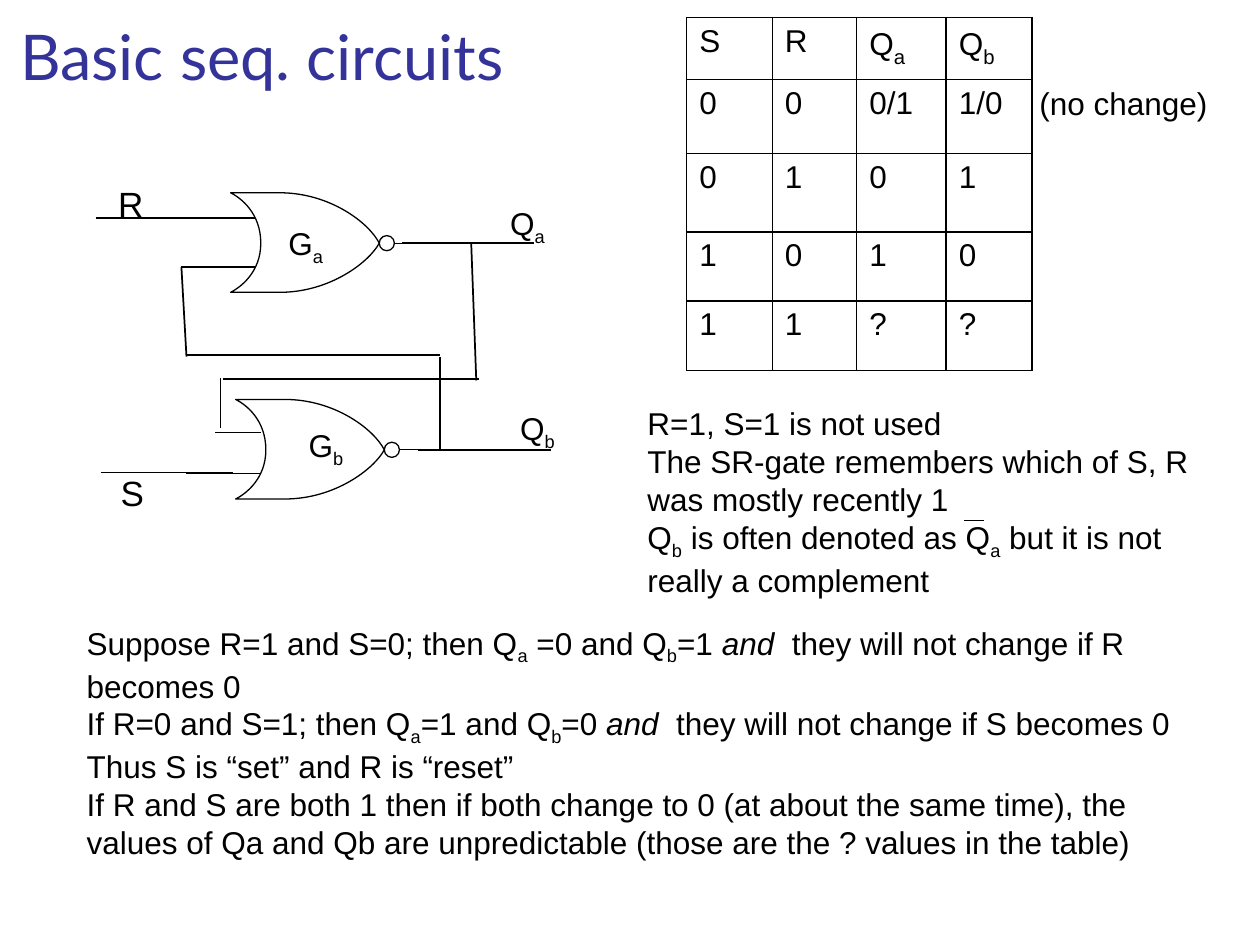
from dataclasses import dataclass

from lxml import etree
from pptx import Presentation
from pptx import util as u
from pptx.dml.color import RGBColor
from pptx.enum import shapes, text
from pptx.oxml.ns import qn


@dataclass(frozen=True)
class Theme:
    ink: str = "000000"
    paper: str = "FFFFFF"
    heading: str = "333399"
    title_font: str = "Lato"
    body_font: str = "Arial"
    title_size: int = 36
    input_size: int = 20
    body_size: int = 18
    wire: float = 1
    outline: float = 0.75


THEME = Theme()
WIDTH, HEIGHT = 10, 7.5
GATE_B_SHIFT = (0.04, 1.64)

TRUTH_TABLE = [
    ["S", "R", "Q|_a", "Q|_b"],
    ["0", "0", "0/1", "1/0"],
    ["0", "1", "0", "1"],
    ["1", "0", "1", "0"],
    ["1", "1", "?", "?"],
]
COLUMNS = [0.68, 0.67, 0.71, 0.68]
ROWS = [0.49, 0.59, 0.62, 0.55, 0.55]

REMARKS = [
    "R=1, S=1 is not used",
    "The SR-gate remembers which of S, R was mostly recently 1",
    "Q|_b| is often denoted as Q|_a| but it is not really a complement",
]
EXPLANATION = [
    "Suppose R=1 and S=0; then Q|_a| =0 and Q|_b|=1 |*and  |they will not change if R becomes 0",
    "If R=0 and S=1; then Q|_a|=1 and Q|_b|=0 |*and  |they will not change if S becomes 0",
    "Thus S is “set” and R is “reset”",
    "If R and S are both 1 then if both change to 0 (at about the same time), "
    "the values of Qa and Qb are unpredictable (those are the ? values in the table)",
]

# Cubic segments of a gate body: two control points and an end point,
# measured from the top left corner of the body
GATE_CORNER = (1.83, 1.53)
GATE_START = (0.39, 0)
GATE_CURVES = [
    ((0.79, 0), (1.1, 0.24), (1.18, 0.4)),
    ((1.1, 0.55), (0.79, 0.79), (0.39, 0.79)),
    ((0.27, 0.79), (0.27, 0.79), (0, 0.79)),
    ((0.08, 0.75), (0.24, 0.63), (0.24, 0.4)),
    ((0.24, 0.16), (0.08, 0.04), (0, 0)),
    ((0.27, 0), (0.29, 0), (0.39, 0)),
]


def color(value):
    return RGBColor.from_string(value)


def write(frame, paragraphs, size=THEME.body_size, font=THEME.body_font,
          ink=THEME.ink, align=None, sub_size=None):
    """Fill a frame; '|' parts runs, '_' opens a subscript, '*' an italic."""
    for index, line in enumerate(paragraphs):
        paragraph = frame.paragraphs[0] if index == 0 else frame.add_paragraph()
        paragraph.alignment = align
        for piece in line.split("|"):
            run = paragraph.add_run()
            run.text = piece.lstrip("_*")
            run.font.name, run.font.size = font, u.Pt(size)
            run.font.color.rgb = color(ink)
            if piece.startswith("_"):
                run._r.get_or_add_rPr().set("baseline", "-25000")
                run.font.size = u.Pt(sub_size or size)
            elif piece.startswith("*"):
                run.font.italic = True


def add_text(slide, box, paragraphs, **style):
    frame = slide.shapes.add_textbox(*map(u.Inches, box)).text_frame
    frame.word_wrap = True
    write(frame, paragraphs, **style)


def add_wire(slide, start, end, width=THEME.wire):
    wire = slide.shapes.add_connector(
        shapes.MSO_CONNECTOR.STRAIGHT, *map(u.Inches, start + end))
    wire.line.color.rgb = color(THEME.ink)
    wire.line.width = u.Pt(width)
    etree.SubElement(wire._element.spPr, qn("a:effectLst"))


def outline(shape):
    shape.shadow.inherit = False
    shape.fill.solid()
    shape.fill.fore_color.rgb = color(THEME.paper)
    shape.line.color.rgb = color(THEME.ink)
    shape.line.width = u.Pt(THEME.outline)


def add_curved_shape(slide, corner, start, curves):
    """Build the corner points as a freeform, then bend each side."""
    builder = slide.shapes.build_freeform(*map(u.Inches, start))
    builder.add_line_segments([tuple(map(u.Inches, curve[-1])) for curve in curves])
    shape = builder.convert_to_shape(*map(u.Inches, corner))
    for side, curve in zip(list(shape._element.iter(qn("a:lnTo"))), curves):
        bend = etree.Element(qn("a:cubicBezTo"))
        for x, y in curve:
            etree.SubElement(bend, qn("a:pt"), x=str(u.Inches(x)), y=str(u.Inches(y)))
        side.getparent().replace(side, bend)
    outline(shape)


def add_nor_gate(slide, upper_input, shift=(0, 0)):
    dx, dy = shift
    # Two inputs and the output stub
    for left, right, y in [upper_input, (1.44, 2.03, 2.12), (3.13, 3.4, 1.93)]:
        add_wire(slide, (left + dx, y + dy), (right + dx, y + dy), THEME.outline)
    # Body and inversion bubble
    corner = (GATE_CORNER[0] + dx, GATE_CORNER[1] + dy)
    add_curved_shape(slide, corner, GATE_START, GATE_CURVES)
    outline(slide.shapes.add_shape(
        shapes.MSO_SHAPE.OVAL,
        *map(u.Inches, (3.01 + dx, 1.87 + dy, 0.12, 0.12))))


def add_border(cell):
    properties = cell._tc.get_or_add_tcPr()
    for position, side in enumerate(("lnL", "lnR", "lnT", "lnB")):
        line = etree.Element(qn(f"a:{side}"), w=str(u.Pt(THEME.wire)))
        fill = etree.SubElement(line, qn("a:solidFill"))
        etree.SubElement(fill, qn("a:srgbClr"), val=THEME.ink)
        properties.insert(position, line)


def add_truth_table(slide, left, top):
    table = slide.shapes.add_table(
        len(ROWS), len(COLUMNS),
        *map(u.Inches, (left, top, sum(COLUMNS), sum(ROWS)))).table
    table.first_row = table.horz_banding = False
    for column, width in zip(table.columns, COLUMNS):
        column.width = u.Inches(width)
    for row, height, values in zip(table.rows, ROWS, TRUTH_TABLE):
        row.height = u.Inches(height)
        for cell, value in zip(row.cells, values):
            cell.fill.background()
            add_border(cell)
            write(cell.text_frame, [value], sub_size=THEME.input_size)


def add_title(slide, box, wording):
    title = slide.shapes.title
    title.left, title.top, title.width, title.height = map(u.Inches, box)
    frame = title.text_frame
    frame.auto_size = text.MSO_AUTO_SIZE.NONE
    frame.vertical_anchor = text.MSO_ANCHOR.BOTTOM
    write(frame, [wording], size=THEME.title_size, font=THEME.title_font,
          ink=THEME.heading, align=text.PP_ALIGN.CENTER)


def add_latch(slide):
    add_nor_gate(slide, (1.44, 2.03, 1.73))
    add_nor_gate(slide, (1.67, 2.03, 1.79), GATE_B_SHIFT)
    # Inputs, outputs and the two feedback paths
    for start, end in [
        ((0.76, 1.73), (1.81, 1.73)), ((3.19, 1.93), (4.24, 1.93)),
        ((0.8, 3.75), (1.85, 3.75)), ((3.32, 3.57), (4.37, 3.57)),
        ((1.44, 2.12), (1.48, 2.83)), ((1.48, 2.82), (3.49, 2.82)),
        ((3.49, 2.83), (3.49, 3.57)), ((3.74, 1.93), (3.78, 3.02)),
        ((3.8, 3.01), (1.77, 3.01)), ((1.75, 3), (1.75, 3.4)),
    ]:
        add_wire(slide, start, end)
    # Labels
    for label, left, top in [("S", 0.86, 3.69), ("R", 0.84, 1.4)]:
        add_text(slide, (left, top, 0.4, 0.44), [label], size=THEME.input_size)
    for label, left, top in [("G|_a", 2.19, 1.73), ("G|_b", 2.35, 3.33),
                             ("Q|_a", 3.95, 1.57), ("Q|_b", 4.03, 3.2)]:
        add_text(slide, (left, top, 0.71, 0.4), [label])


def main():
    presentation = Presentation()
    presentation.slide_width = u.Inches(WIDTH)
    presentation.slide_height = u.Inches(HEIGHT)
    slide = presentation.slides.add_slide(presentation.slide_layouts[5])
    add_title(slide, (-0.04, 0.16, 4.24, 0.63), "Basic seq. circuits")
    add_latch(slide)
    add_text(slide, (0.59, 4.9, 9.03, 1.92), EXPLANATION)
    add_text(slide, (5.04, 3.16, 4.71, 1.62), REMARKS)
    add_wire(slide, (7.65, 4.13), (7.81, 4.13))  # complement bar
    add_truth_table(slide, 5.45, 0.14)
    add_text(slide, (8.15, 0.62, 1.55, 0.4), ["(no change)"])
    presentation.save("out.pptx")


if __name__ == "__main__":
    main()
